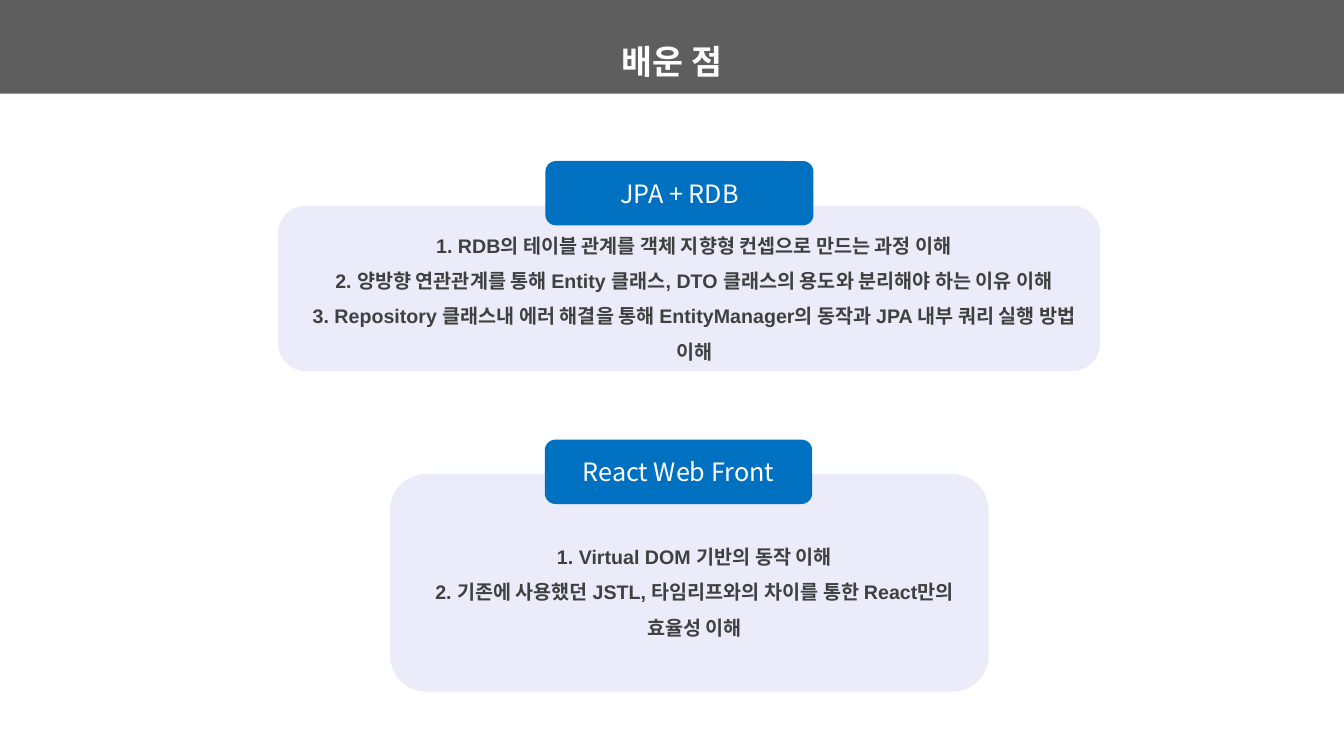
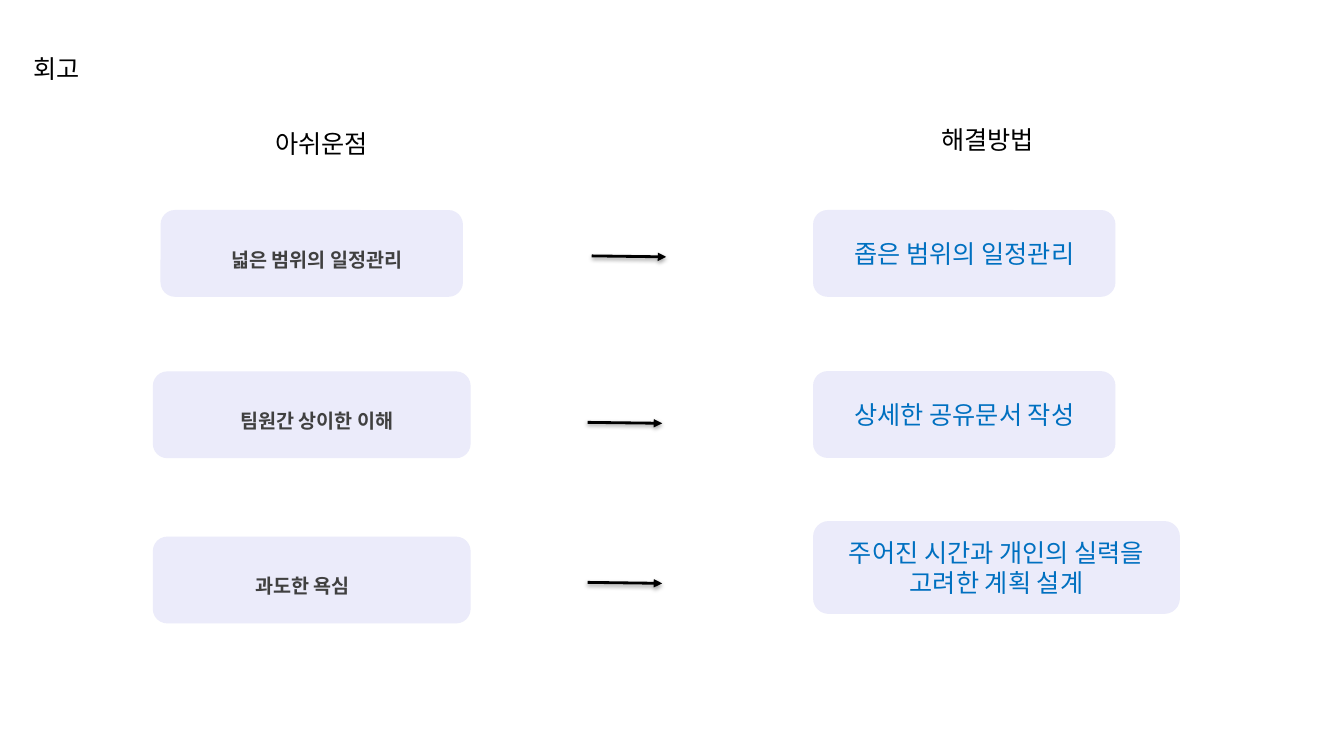
"""Build two slides on lessons learned and a project retrospective."""
from dataclasses import dataclass

from lxml import etree
from pptx import Presentation
from pptx.dml.color import RGBColor
from pptx.enum.shapes import MSO_CONNECTOR as Connector, MSO_SHAPE as Shape
from pptx.enum.text import MSO_ANCHOR as Anchor, MSO_AUTO_SIZE as AutoSize, PP_ALIGN as Align
from pptx.oxml import parse_xml
from pptx.oxml.ns import nsdecls, qn
from pptx.util import Pt


@dataclass(frozen=True)
class Theme:
    """Colours, faces and type sizes of the deck."""
    band: str = "5E5E5E"
    card: str = "EBEBFA"
    accent: str = "0070C0"
    white: str = "FFFFFF"
    black: str = "000000"
    body: str = "404040"
    latin: str = "Arial"
    korean: str = "Noto Sans CJK KR"
    title_size: int = 24
    label_size: int = 18
    body_size: int = 14


THEME = Theme()
STYLES = {
    "title": dict(size=THEME.title_size, face=THEME.latin, color=THEME.white,
                  bold=True, align=Align.CENTER, spacing=1.5),
    "heading": dict(size=THEME.label_size, face=THEME.latin, color=THEME.black,
                    bold=False, align=Align.LEFT, spacing=1.5),
    "body": dict(size=THEME.body_size, face=THEME.latin, color=THEME.body,
                 bold=True, align=Align.CENTER, spacing=1.5),
    "tab": dict(size=THEME.label_size, face=THEME.korean, color=THEME.white,
                bold=False, align=Align.CENTER, spacing=1),
    "solution": dict(size=THEME.label_size, face=THEME.korean, color=THEME.accent,
                     bold=False, align=Align.CENTER, spacing=1),
}
SLIDE_WIDTH, SLIDE_HEIGHT = 960, 540
BAND_HEIGHT = 67
PLAIN_INSETS = (7.2, 3.6, 7.2, 3.6)
BODY_INSETS = (14.4, 3.6, 7.2, 3.6)

LESSONS_TITLE = "배운 점"
LESSONS = [
    dict(tab="JPA + RDB", tab_box=(389.6, 115, 191.5, 46),
         card_box=(198.7, 147, 587, 118), insets=(14.4, 10, 7.2, 4.2),
         points=["1. RDB의 테이블 관계를 객체 지향형 컨셉으로 만드는 과정 이해",
                 "2. 양방향 연관관계를 통해 Entity 클래스, DTO 클래스의 용도와 분리해야 하는 이유 이해",
                 "3. Repository 클래스내 에러 해결을 통해 EntityManager의 동작과 "
                 "JPA 내부 쿼리 실행 방법 이해"]),
    dict(tab="React Web Front", tab_box=(389.2, 314, 191, 46),
         card_box=(278.6, 338.5, 427.6, 155.5), insets=(14.4, 8.6, 7.2, 3.6),
         points=["1. Virtual DOM 기반의 동작 이해",
                 "2. 기존에 사용했던 JSTL, 타임리프와의 차이를 통한 React만의 효율성 이해"]),
]

REVIEW_TITLE = "회고"
HEADINGS = [("아쉬운점", 189.4, 77), ("해결방법", 665.3, 74.2)]
PROBLEM_CENTER, PROBLEM_HEIGHT = 222.7, 62
SOLUTION_LEFT = 580.8
ARROW_LENGTH, ARROW_DROP = 53.2, 0.7
REVIEWS = [
    dict(problem="넓은 범위의 일정관리", top=150, width=216, insets=BODY_INSETS,
         solution=["좁은 범위의 일정관리"], solution_box=(150, 216, 62), arrow=(422.7, 182.8)),
    dict(problem="팀원간 상이한 이해", top=265.3, width=227, insets=BODY_INSETS,
         solution=["상세한 공유문서 작성"], solution_box=(265.1, 216, 62), arrow=(419.8, 301.7)),
    dict(problem="과도한 욕심", top=383.3, width=227, insets=(4.3, 3.6, 17.3, 3.6),
         solution=["주어진 시간과 개인의 실력을", "고려한 계획 설계"],
         solution_box=(372.2, 262, 66.3), arrow=(419.8, 416)),
]


def apply(target, **values):
    """Set every given attribute on the target."""
    for name, value in values.items():
        setattr(target, name, value)


def write(box, lines, style, insets=PLAIN_INSETS, anchor=Anchor.MIDDLE, wrap=True):
    """Fill a box with one styled paragraph for each line."""
    look = STYLES[style]
    frame = box.text_frame
    apply(frame, word_wrap=wrap, vertical_anchor=anchor,
          auto_size=AutoSize.NONE if wrap else AutoSize.SHAPE_TO_FIT_TEXT)
    sides = ("margin_left", "margin_top", "margin_right", "margin_bottom")
    apply(frame, **dict(zip(sides, map(Pt, insets))))
    for number, line in enumerate(lines):
        para = frame.add_paragraph() if number else frame.paragraphs[0]
        apply(para, alignment=look["align"], line_spacing=look["spacing"])
        span = para.add_run()
        span.text = line
        apply(span.font, size=Pt(look["size"]), name=look["face"], bold=look["bold"])
        span.font.color.rgb = RGBColor.from_string(look["color"])
        latin = span.font._element.find(qn("a:latin"))
        east_asian = etree.Element(qn("a:ea"), typeface=THEME.korean)
        latin.addnext(east_asian)


def add_block(page, kind, bounds, fill):
    """Add a flat filled shape."""
    block = page.shapes.add_shape(kind, *map(Pt, bounds))
    block.shadow.inherit = False
    block.fill.solid()
    block.fill.fore_color.rgb = RGBColor.from_string(fill)
    block.line.fill.background()
    return block


def add_card(page, bounds, fill, lines, style, insets=PLAIN_INSETS):
    """Add a rounded card with its text."""
    write(add_block(page, Shape.ROUNDED_RECTANGLE, bounds, fill), lines, style, insets)


def add_page(deck, title, style, bounds, wrap):
    """Add a title-only page and place its title."""
    page = deck.slides.add_slide(deck.slide_layouts[5])
    box = page.shapes.title
    apply(box, **dict(zip(("left", "top", "width", "height"), map(Pt, bounds))))
    write(box, [title], style, anchor=Anchor.TOP, wrap=wrap)
    return page


def add_arrow(page, left, top):
    """Add a slightly falling arrow with a soft shadow."""
    ends = (left, top, left + ARROW_LENGTH, top + ARROW_DROP)
    arrow = page.shapes.add_connector(Connector.STRAIGHT, *map(Pt, ends))
    arrow.line.color.rgb = RGBColor.from_string(THEME.black)
    arrow.line.width = Pt(2)
    etree.SubElement(arrow.line._get_or_add_ln(), qn("a:tailEnd"), type="triangle")
    arrow.element.spPr.append(parse_xml(
        f'<a:effectLst {nsdecls("a")}><a:outerShdw blurRad="{Pt(3.1)}" dist="{Pt(1.6)}" '
        f'dir="5400000" rotWithShape="0"><a:srgbClr val="{THEME.black}">'
        '<a:alpha val="38000"/></a:srgbClr></a:outerShdw></a:effectLst>'))


def build_lessons(deck):
    """Build the page of lessons learned."""
    page = add_page(deck, LESSONS_TITLE, "title", (0, 11.5, SLIDE_WIDTH, 45), True)
    band = add_block(page, Shape.RECTANGLE, (0, 0, SLIDE_WIDTH, BAND_HEIGHT), THEME.band)
    page.shapes.element.insert(2, band.element)
    for lesson in LESSONS:
        add_card(page, lesson["card_box"], THEME.card, lesson["points"], "body", lesson["insets"])
        add_card(page, lesson["tab_box"], THEME.accent, [lesson["tab"]], "tab")


def build_review(deck):
    """Build the page of problems and solutions."""
    page = add_page(deck, REVIEW_TITLE, "heading", (16.6, 23.8, 51, 36), False)
    for text, left, top in HEADINGS:
        box = page.shapes.add_textbox(*map(Pt, (left, top, 87, 36)))
        write(box, [text], "heading", anchor=Anchor.TOP, wrap=False)
    for row in REVIEWS:
        width = row["width"]
        problem_box = (PROBLEM_CENTER - width / 2, row["top"], width, PROBLEM_HEIGHT)
        add_card(page, problem_box, THEME.card, [row["problem"]], "body", row["insets"])
        add_arrow(page, *row["arrow"])
        add_card(page, (SOLUTION_LEFT, *row["solution_box"]), THEME.card,
                 row["solution"], "solution")


def main():
    """Build and save the deck."""
    deck = Presentation()
    apply(deck, slide_width=Pt(SLIDE_WIDTH), slide_height=Pt(SLIDE_HEIGHT))
    build_lessons(deck)
    build_review(deck)
    deck.save("out.pptx")


if __name__ == "__main__":
    main()
